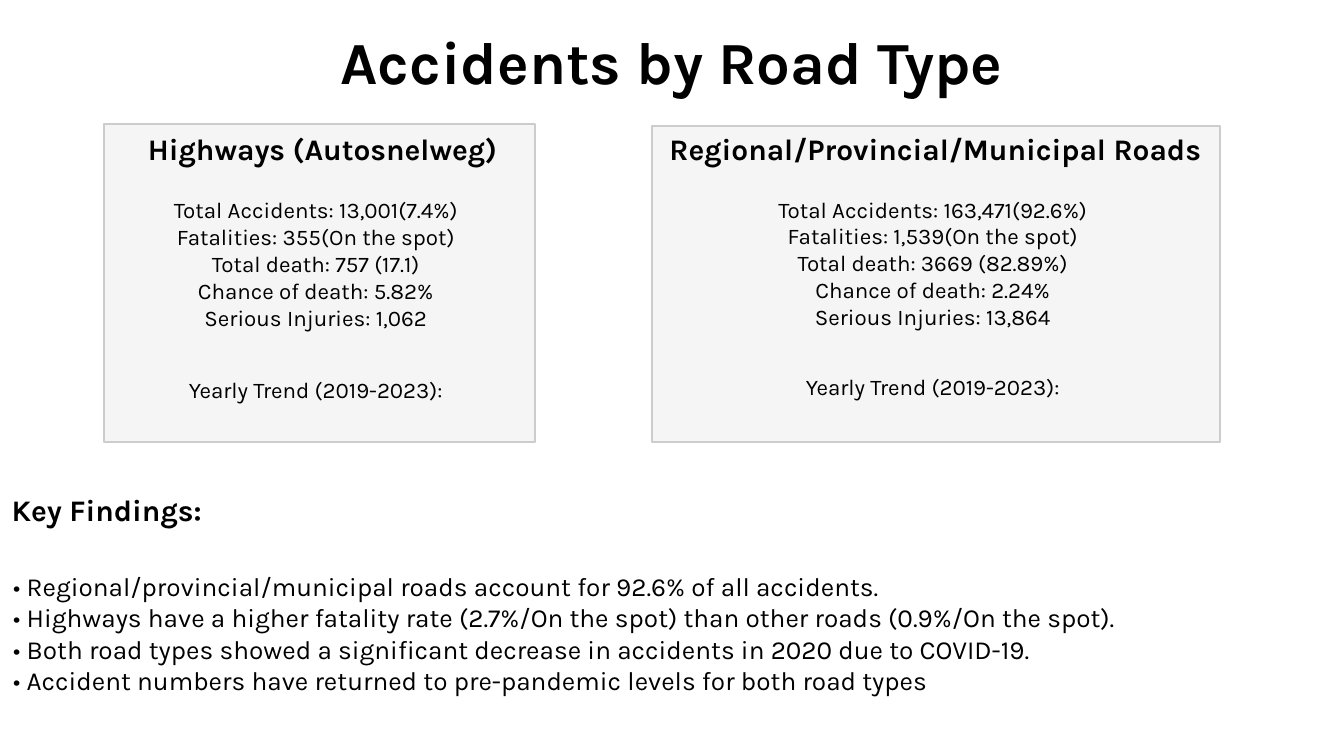
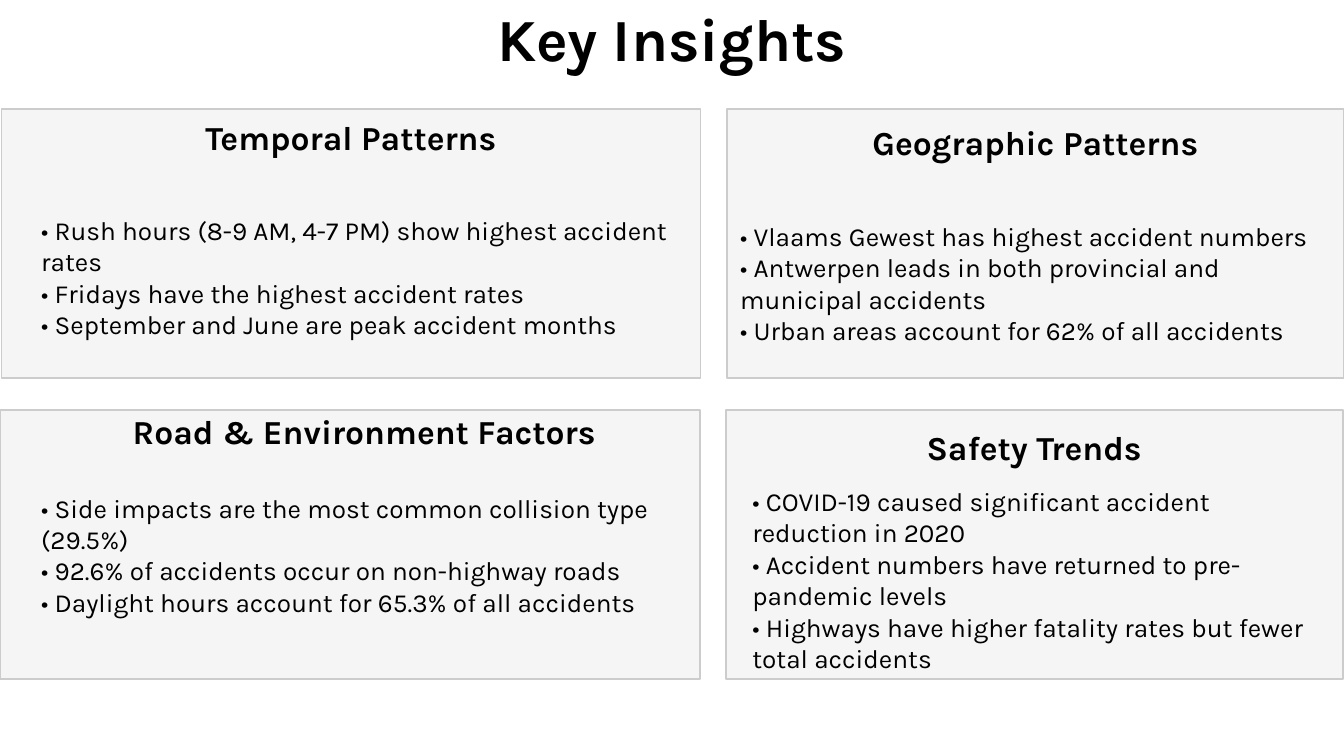
from pptx import Presentation
from pptx import util as u
from pptx.dml.color import RGBColor
from pptx.enum import shapes, text

BLACK = RGBColor(0x00, 0x00, 0x00)
PANEL_FILL = RGBColor(0xF5, 0xF5, 0xF5)
PANEL_LINE = RGBColor(0xCC, 0xCC, 0xCC)
FONT = "Karla"
TITLE = dict(size=32, bold=True, centred=True)
BULLET = "• "


def add_text(page, lines, at, size=14, bold=False, centred=False, bullet=""):
    """Add a text box with one paragraph per line; at is in centimetres."""
    box = page.shapes.add_textbox(*[u.Cm(length) for length in at])
    frame = box.text_frame
    frame.word_wrap = True
    frame.vertical_anchor = text.MSO_ANCHOR.MIDDLE
    for index, line in enumerate(lines):
        para = frame.add_paragraph() if index else frame.paragraphs[0]
        para.alignment = text.PP_ALIGN.CENTER if centred else text.PP_ALIGN.LEFT
        span = para.add_run()
        span.text = bullet + line
        span.font.name = FONT
        span.font.size = u.Pt(size)
        span.font.bold = bold
        span.font.color.rgb = BLACK


def add_panel(page, at):
    """Add a grey panel with a thin border; at is in centimetres."""
    panel = page.shapes.add_shape(
        shapes.MSO_SHAPE.RECTANGLE, *[u.Cm(length) for length in at])
    panel.shadow.inherit = False
    panel.fill.solid()
    panel.fill.fore_color.rgb = PANEL_FILL
    panel.line.color.rgb = PANEL_LINE
    panel.line.width = u.Pt(1)


deck = Presentation()
deck.slide_width = u.Cm(25.4)
deck.slide_height = u.Cm(14.29)
blank = deck.slide_layouts[6]

# Slide 1: accidents by road type
page = deck.slides.add_slide(blank)
add_text(page, ["Accidents by Road Type"], (1.27, 0.13, 22.86, 2.03), **TITLE)

# Road types: heading, facts, panel, heading left, text left, facts top and height, trend top
road_types = [
    ("Highways (Autosnelweg)",
     ["Total Accidents: 13,001(7.4%)",
      "Fatalities: 355(On the spot)",
      "Total death: 757 (17.1)",
      "Chance of death: 5.82%",
      "Serious Injuries: 1,062"],
     (1.96, 2.34, 8.15, 6.02), -0.25, -0.38, 3.23, 3.51, 6.99),
    ("Regional/Provincial/Municipal Roads",
     ["Total Accidents: 163,471(92.6%)",
      "Fatalities: 1,539(On the spot)",
      "Total death: 3669 (82.89%)",
      "Chance of death: 2.24%",
      "Serious Injuries: 13,864"],
     (12.32, 2.39, 10.74, 5.97), 11.33, 11.28, 3.18, 3.58, 6.93),
]
for heading, facts, panel_at, heading_left, left, top, height, trend_top in road_types:
    add_panel(page, panel_at)
    add_text(page, [heading], (heading_left, 2.18, 12.7, 1.27),
             size=16, bold=True, centred=True)
    add_text(page, facts, (left, top, 12.7, height), size=12, centred=True)
    add_text(page, ["Yearly Trend (2019-2023):"], (left, trend_top, 12.7, 0.76),
             size=12, centred=True)

# Key findings
findings = [
    "Regional/provincial/municipal roads account for 92.6% of all accidents.",
    "Highways have a higher fatality rate (2.7%/On the spot) than other roads (0.9%/On the spot).",
    "Both road types showed a significant decrease in accidents in 2020 due to COVID-19.",
    "Accident numbers have returned to pre-pandemic levels for both road types",
]
add_text(page, ["Key Findings:"], (-0.03, 9.12, 25.22, 1.02), size=16, bold=True)
add_text(page, findings, (0, 10.13, 25.22, 3.68), bullet=BULLET)

# Slide 2: key insights
page = deck.slides.add_slide(blank)
add_text(page, ["Key Insights"], (1.27, -0.3, 22.86, 2.03), **TITLE)

# Insights: heading, points, then the places of panel, heading and points
insights = [
    ("Temporal Patterns",
     ["Rush hours (8-9 AM, 4-7 PM) show highest accident rates",
      "Fridays have the highest accident rates",
      "September and June are peak accident months"],
     (0.03, 2.06, 13.21, 5.08), (0.03, 1.96, 13.21, 1.27), (0.53, 3.33, 12.7, 3.81)),
    ("Geographic Patterns",
     ["Vlaams Gewest has highest accident numbers",
      "Antwerpen leads in both provincial and municipal accidents",
      "Urban areas account for 62% of all accidents"],
     (13.74, 2.06, 11.66, 5.08), (13.74, 2.06, 11.66, 1.27), (13.74, 3.56, 11.63, 3.58)),
    ("Road & Environment Factors",
     ["Side impacts are the most common collision type (29.5%)",
      "92.6% of accidents occur on non-highway roads",
      "Daylight hours account for 65.3% of all accidents"],
     (0, 7.75, 13.23, 5.08), (-0.1, 7.52, 13.97, 1.27), (0.53, 8.15, 12.7, 4.67)),
    ("Safety Trends",
     ["COVID-19 caused significant accident reduction in 2020",
      "Accident numbers have returned to pre-pandemic levels",
      "Highways have higher fatality rates but fewer total accidents"],
     (13.72, 7.75, 11.66, 5.08), (13.69, 7.82, 11.71, 1.27), (13.97, 9.09, 11.4, 3.73)),
]
for heading, points, panel_at, heading_at, points_at in insights:
    add_panel(page, panel_at)
    add_text(page, [heading], heading_at, size=18, bold=True, centred=True)
    add_text(page, points, points_at, bullet=BULLET)

deck.save("out.pptx")
